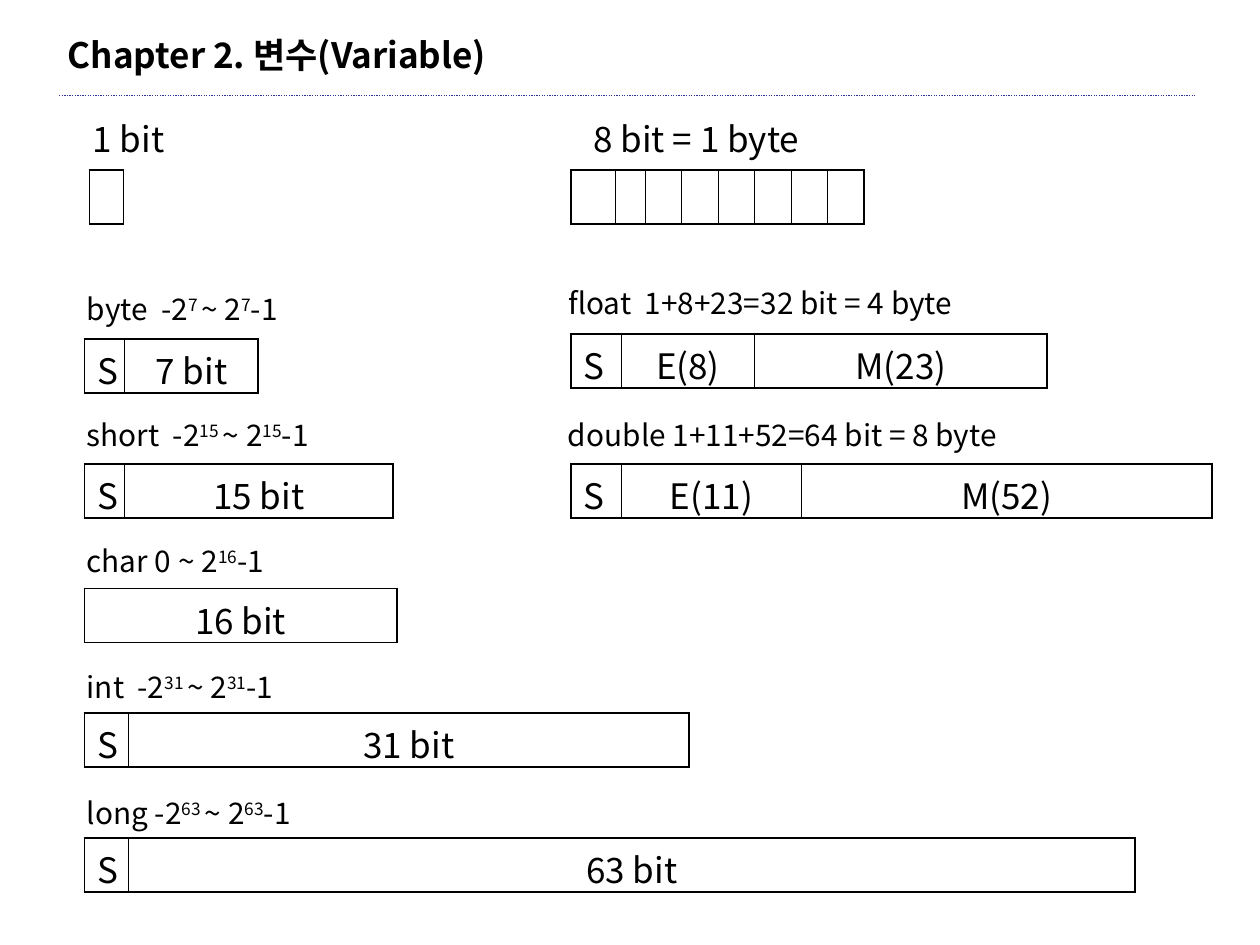
from lxml import etree
from pptx import Presentation
from pptx.dml.color import RGBColor
from pptx.enum.dml import MSO_LINE
from pptx.enum.text import MSO_ANCHOR, PP_ALIGN
from pptx.oxml.ns import qn
from pptx.util import Inches, Pt

LEFT, CENTER = PP_ALIGN.LEFT, PP_ALIGN.CENTER
MIDDLE, TOP = MSO_ANCHOR.MIDDLE, MSO_ANCHOR.TOP
DOTTED = MSO_LINE.ROUND_DOT
FONT = "Noto Sans CJK KR"
BLACK, NAVY = "000000", "2F2F98"
THICK, THIN = 1.08, 0.45
BAR_H = 0.43
COLUMNS = (0.67, 4.53)
FIRST_LABEL, LABEL_PITCH = 2.25, 1.0
FIRST_BAR, BAR_PITCH = 2.69, 0.99

# column, row, vertical shift, label, label indent, label width, cells
TYPES = [
    (0, 0, 0, "byte  -2^7 ^~ 2^7^-1", 0.08, 2.8, [("S", 0.32), ("7 bit", 1.06)]),
    (0, 1, 0, "short  -2^15 ^~ 2^15^-1", 0.08, 2.84, [("S", 0.32), ("15 bit", 2.13)]),
    (0, 2, 0, "char 0 ~ 2^16^-1", 0.08, 2.56, [("16 bit", 2.48)]),
    (0, 3, 0, "int  -2^31 ^~ 2^31^-1", 0.08, 2.84, [("S", 0.35), ("31 bit", 4.45)]),
    (0, 4, 0, "long -2^63 ^~ 2^63^-1", 0.08, 2.84, [("S", 0.35), ("63 bit", 7.99)]),
    (1, 0, -0.04, "float  1+8+23=32 bit = 4 byte", 0.12, 4.49,
     [("S", 0.4), ("E(8)", 1.06), ("M(23)", 2.32)]),
    (1, 1, 0, "double 1+11+52=64 bit = 8 byte", 0.12, 4.76,
     [("S", 0.4), ("E(11)", 1.43), ("M(52)", 3.26)]),
]


def color(value):
    """Turn a hex string into a colour."""
    return RGBColor.from_string(value)


def write(p, text, size, align=LEFT, bold=False, before=0):
    """Fill a paragraph; parts between carets are superscript."""
    p.alignment, p.space_before = align, Pt(before)
    p.font.size, p.font.bold, p.font.name = Pt(size), bold, FONT
    p.font.color.rgb = color(BLACK)
    for i, part in enumerate(text.split("^")):
        r = p.add_run()
        r.text = part
        rpr = r.font._element
        etree.SubElement(rpr, qn("a:ea"), typeface=FONT)
        if i % 2:
            rpr.set("baseline", "30000")


def add_label(s, x, y, w, h, text, size, **style):
    """Add a text box with one line."""
    tf = s.shapes.add_textbox(Inches(x), Inches(y), Inches(w), Inches(h)).text_frame
    tf.word_wrap, tf.vertical_anchor = True, MIDDLE
    write(tf.paragraphs[0], text, size, before=size * 0.625, **style)


def set_borders(cell, widths):
    """Draw the left, right, top and bottom borders of a cell."""
    tcpr = cell._tc.get_or_add_tcPr()
    for i, (side, width) in enumerate(zip("LRTB", widths)):
        ln = etree.Element(qn(f"a:ln{side}"), w=str(int(Pt(width))))
        fill = etree.SubElement(ln, qn("a:solidFill"))
        etree.SubElement(fill, qn("a:srgbClr"), val=BLACK)
        tcpr.insert(i, ln)


def add_bits(s, x, y, cells):
    """Add a one-row table of (text, width) cells."""
    total = sum(w for _, w in cells)
    table = s.shapes.add_table(1, len(cells), Inches(x), Inches(y),
                               Inches(total), Inches(BAR_H)).table
    table.first_row = table.horz_banding = False
    last = len(cells) - 1
    for i, (text, width) in enumerate(cells):
        table.columns[i].width = Inches(width)
        cell = table.cell(0, i)
        cell.fill.background()
        cell.margin_top, cell.margin_bottom = Inches(0.04), 0
        cell.vertical_anchor = TOP
        set_borders(cell, (THIN if i else THICK, THIN if i < last else THICK, THICK, THICK))
        if text:
            write(cell.text_frame.paragraphs[0], text, 20,
                  LEFT if text == "S" else CENTER, before=5)


def add_rule(s, x1, x2, y):
    """Add the dotted line under the title."""
    line = s.shapes.add_connector(1, Inches(x1), Inches(y), Inches(x2), Inches(y))
    line.line.color.rgb = color(NAVY)
    line.line.width, line.line.dash_style = Pt(0.75), DOTTED
    etree.SubElement(line._element.spPr, qn("a:effectLst"))


def main():
    """Build the slide."""
    prs = Presentation()
    prs.slide_width, prs.slide_height = Inches(10), Inches(7.5)
    s = prs.slides.add_slide(prs.slide_layouts[6])
    add_rule(s, 0.47, 9.49, 0.76)
    add_label(s, 0.44, 0.21, 4.17, 0.44, "Chapter 2. 변수(Variable)", 20, bold=True)
    add_label(s, 0.31, 0.88, 1.42, 0.44, "1 bit", 20, align=CENTER)
    add_bits(s, 0.71, 1.35, [("", 0.27)])
    add_label(s, 4.61, 0.88, 2.24, 0.44, "8 bit = 1 byte", 20)
    add_bits(s, COLUMNS[1], 1.35, [("", 0.35), ("", 0.24)] + [("", 0.29)] * 6)
    for column, row, shift, label, indent, width, cells in TYPES:
        x = COLUMNS[column]
        add_bits(s, x, FIRST_BAR + row * BAR_PITCH + shift, cells)
        add_label(s, x - indent, FIRST_LABEL + row * LABEL_PITCH + shift,
                  width, 0.39, label, 17)
    prs.save("out.pptx")


if __name__ == "__main__":
    main()
